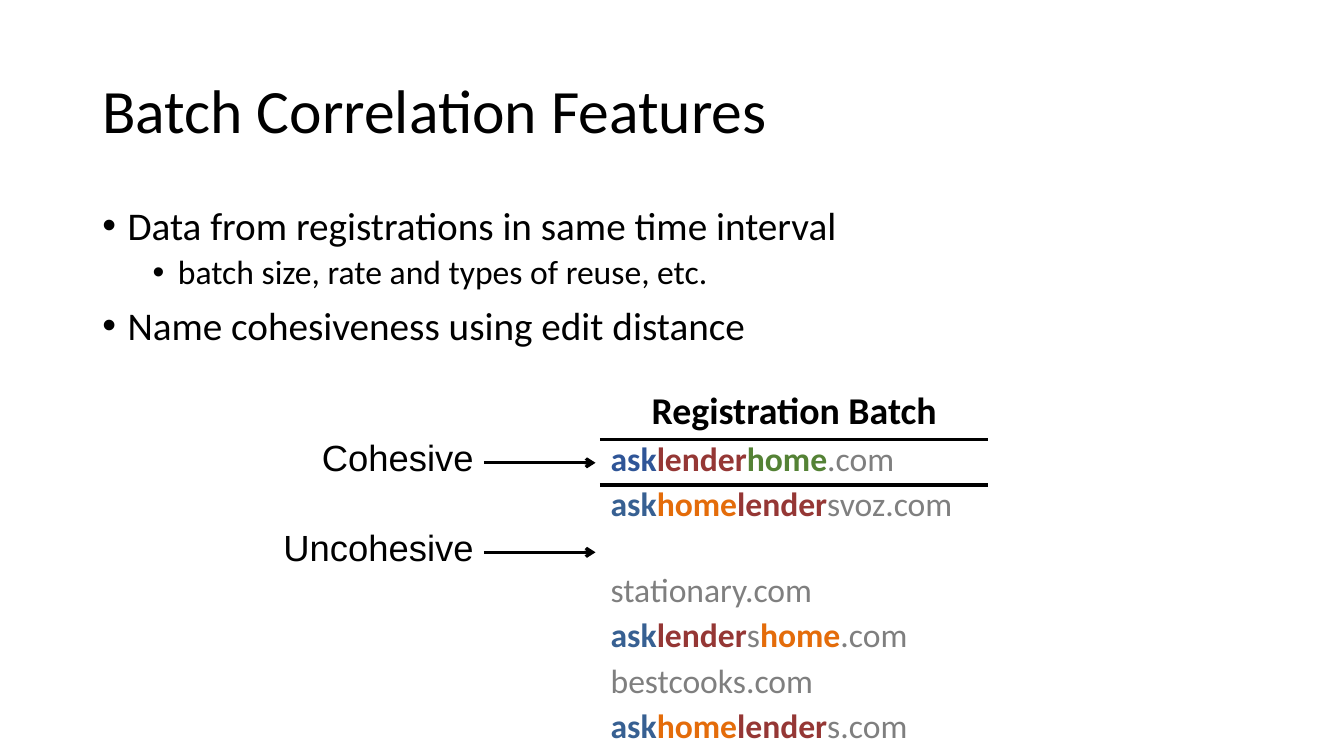
from lxml import etree
from pptx import Presentation
from pptx.dml.color import RGBColor
from pptx.enum.shapes import MSO_CONNECTOR
from pptx.enum.text import MSO_ANCHOR, PP_ALIGN
from pptx.oxml.ns import qn
from pptx.util import Inches, Pt

STRAIGHT = MSO_CONNECTOR.STRAIGHT
MIDDLE, TOP = MSO_ANCHOR.MIDDLE, MSO_ANCHOR.TOP
LEFT, CENTER, RIGHT = PP_ALIGN.LEFT, PP_ALIGN.CENTER, PP_ALIGN.RIGHT

COLORS = {
    "black": "000000", "gray": "7F7F7F", "navy": "2F5597", "blue": "376092",
    "red": "953735", "green": "548235", "orange": "E46C0A",
}
COLUMNS, ROWS = 32, 18

BULLETS = [
    (0, "Data from registrations in same time interval"),
    (1, "batch size, rate and types of reuse, etc."),
    (0, "Name cohesiveness using edit distance"),
]
LABELS = [("Cohesive", 10.37), ("Uncohesive", 12.5)]
DOMAINS = [
    [("ask", "navy"), ("lender", "red"), ("home", "green"), (".com", "gray")],
    [("ask", "blue"), ("home", "orange"), ("lender", "red"), ("svoz.com", "gray")],
    [("stationary.com", "gray")],
    [("ask", "blue"), ("lender", "red"), ("s", "gray"), ("home", "orange"), (".com", "gray")],
    [("bestcooks.com", "gray")],
    [("ask", "blue"), ("home", "orange"), ("lender", "red"), ("s.com", "gray")],
]
ROW_HEIGHTS = [1.18, 1.08, 2.04] + [1.08] * 4
RULED_EDGES = (1, 2)


class SlideBuilder:
    """Draws on one slide; lengths are grid columns and rows."""

    def __init__(self, prs):
        self.slide = prs.slides.add_slide(prs.slide_layouts[6])
        self.col = prs.slide_width / COLUMNS
        self.row = prs.slide_height / ROWS

    def x(self, columns):
        return round(columns * self.col)

    def y(self, rows):
        return round(rows * self.row)

    def style(self, r, size, color="black", font="Calibri", bold=False):
        r.font.size = Pt(size)
        r.font.name = font
        r.font.bold = bold
        r.font.color.rgb = RGBColor.from_string(COLORS[color])

    def text(self, box, text, size, font="Calibri", align=LEFT, anchor=TOP, top=0.05, spacing=1.0):
        left, y, width, height = box
        sp = self.slide.shapes.add_textbox(self.x(left), self.y(y), self.x(width), self.y(height))
        tf = sp.text_frame
        tf.word_wrap = True
        tf.vertical_anchor = anchor
        tf.margin_top = Inches(top)
        tf.text = text
        p = tf.paragraphs[0]
        p.alignment = align
        p.line_spacing = spacing
        self.style(p.runs[0], size, font=font)
        return sp

    def bullets(self, box, items):
        sp = self.text(box, "\n".join(text for _, text in items), 28)
        for p, (level, _) in zip(sp.text_frame.paragraphs, items):
            p.level = level
            p.line_spacing = 0.9
            p.space_before = Pt(5 if level else 10)
            self.style(p.runs[0], 24 if level else 28)
            pPr = p._p.get_or_add_pPr()
            pPr.set("marL", str(Inches(0.25 + 0.5 * level)))
            pPr.set("indent", str(Inches(-0.25)))
            etree.SubElement(pPr, qn("a:buFont")).set("typeface", "Arial")
            etree.SubElement(pPr, qn("a:buChar")).set("char", "•")

    def arrow_from(self, sp, end):
        """Draw a level arrow from the right side of sp to column end."""
        y = sp.top + sp.height // 2
        line = self.slide.shapes.add_connector(STRAIGHT, sp.left + sp.width, y, self.x(end), y)
        line.begin_connect(sp, 3)
        line.line.width = Pt(2.25)
        line.line.color.rgb = RGBColor.from_string(COLORS["black"])
        etree.SubElement(line.line._get_or_add_ln(), qn("a:tailEnd")).set("type", "arrow")
        etree.SubElement(line._element.spPr, qn("a:effectLst"))

    def edge(self, cell, tag, index, ruled):
        """Put a black rule, or no line, on one side of a cell."""
        ln = etree.Element(qn(tag), w=str(Pt(3)))
        if ruled:
            fill = etree.SubElement(ln, qn("a:solidFill"))
            etree.SubElement(fill, qn("a:srgbClr")).set("val", COLORS["black"])
        else:
            etree.SubElement(ln, qn("a:noFill"))
        cell._tc.get_or_add_tcPr().insert(index, ln)

    def batch_table(self, left, top, width, header, domains):
        table = self.slide.shapes.add_table(
            len(ROW_HEIGHTS), 1, self.x(left), self.y(top),
            self.x(width), self.y(sum(ROW_HEIGHTS))).table
        table.first_row = table.horz_banding = False
        contents = [[(header, "black")]] + domains
        for i, (height, parts) in enumerate(zip(ROW_HEIGHTS, contents)):
            table.rows[i].height = self.y(height)
            cell = table.cell(i, 0)
            cell.fill.background()
            cell.margin_top = 0
            self.edge(cell, "a:lnT", 0, i in RULED_EDGES)
            self.edge(cell, "a:lnB", 1, i + 1 in RULED_EDGES)
            p = cell.text_frame.paragraphs[0]
            p.alignment = LEFT if i else CENTER
            for text, color in parts:
                r = p.add_run()
                r.text = text
                self.style(r, 24 if i else 27, color, bold=color != "gray")


def main():
    prs = Presentation()
    prs.slide_width, prs.slide_height = Inches(13.33), Inches(7.5)
    s = SlideBuilder(prs)
    s.text((2.2, 0.96, 27.6, 3.48), "Batch Correlation Features", 44, anchor=MIDDLE, spacing=0.9)
    s.bullets((2.2, 4.8, 27.6, 11.42), BULLETS)
    for label, top in LABELS:
        sp = s.text((6.46, top, 5.06, 1.3), label, 26, font="Arial", align=RIGHT, top=0)
        s.arrow_from(sp, 14.18)
    s.batch_table(14.3, 9.26, 9.22, "Registration Batch", DOMAINS)
    prs.save("out.pptx")


if __name__ == "__main__":
    main()
